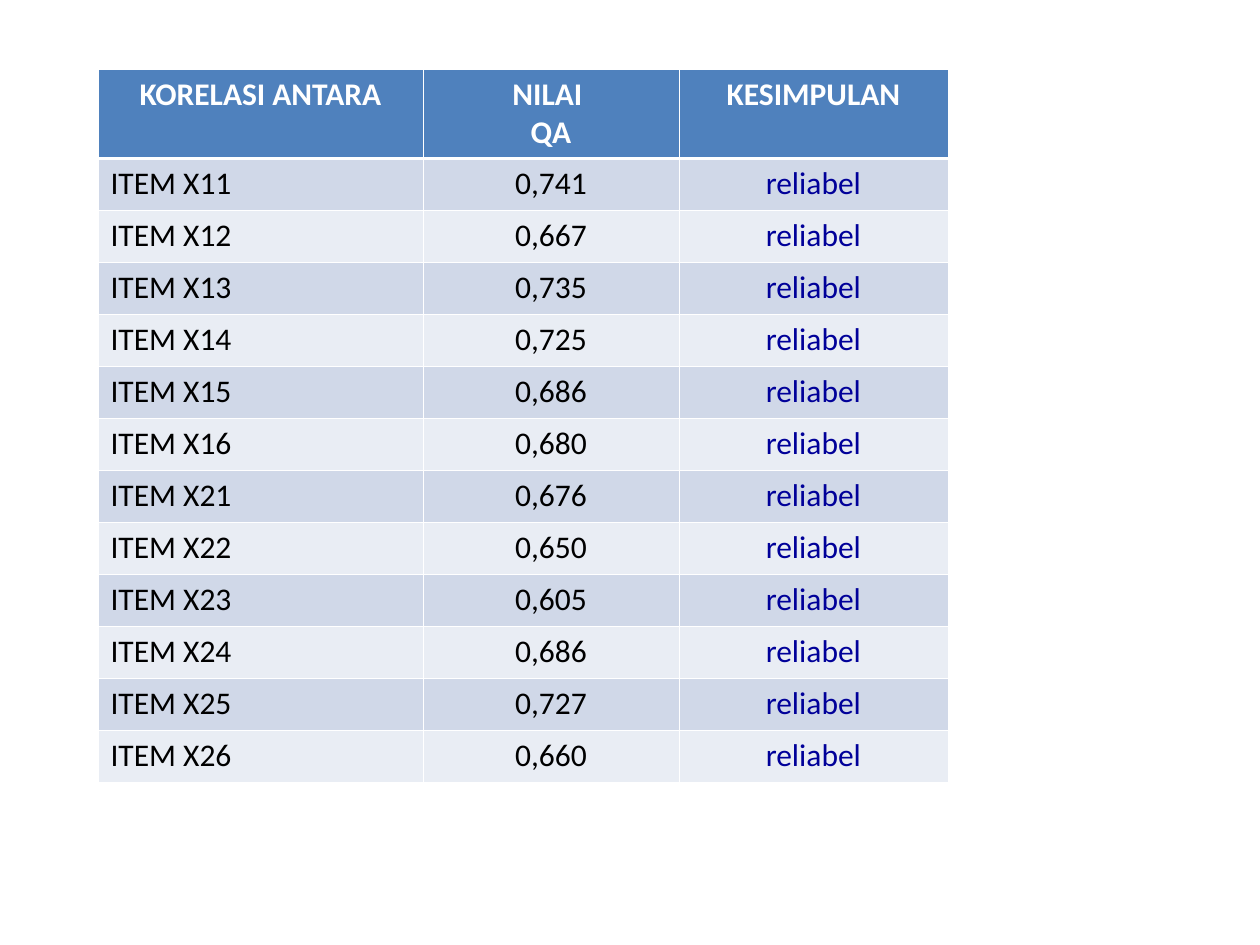
"""Build a slide with a table of reliability results per questionnaire item."""
from dataclasses import dataclass

from lxml import etree
from pptx import Presentation
from pptx.dml.color import RGBColor
from pptx.enum.text import PP_ALIGN
from pptx.oxml.ns import qn
from pptx.util import Emu, Pt

LEFT, CENTER = PP_ALIGN.LEFT, PP_ALIGN.CENTER

HEADINGS = ("KORELASI ANTARA", "NILAI \nQA", "KESIMPULAN")
ITEM_SCORES = (
    ("X11", "0,741"),
    ("X12", "0,667"),
    ("X13", "0,735"),
    ("X14", "0,725"),
    ("X15", "0,686"),
    ("X16", "0,680"),
    ("X21", "0,676"),
    ("X22", "0,650"),
    ("X23", "0,605"),
    ("X24", "0,686"),
    ("X25", "0,727"),
    ("X26", "0,660"),
)
CONCLUSION = "reliabel"

SLIDE_SIZE = (1260, 945)
TABLE_ORIGIN = (98, 69)
COLUMN_WIDTHS = (325, 256, 269)
HEADER_HEIGHT, ITEM_HEIGHT = 88, 52


@dataclass(frozen=True)
class Theme:
    font: str = "Calibri"
    size: int = 18
    header: str = "4F81BD"
    bands: tuple = ("D0D8E8", "E9EDF4")
    heading_text: str = "FFFFFF"
    item_texts: tuple = ("000000", "000000", "000099")
    border: str = "FFFFFF"
    thin: float = 0.45
    thick: float = 1.47


THEME = Theme()


def px(length):
    return Emu(round(length * 914400 / 126))


def set_borders(cell, top, bottom):
    properties = cell._tc.get_or_add_tcPr()
    widths = {"a:lnL": THEME.thin, "a:lnR": THEME.thin, "a:lnT": top, "a:lnB": bottom}
    for position, (side, width) in enumerate(widths.items()):
        line = etree.Element(qn(side), w=str(Pt(width)))
        fill = etree.SubElement(line, qn("a:solidFill"))
        etree.SubElement(fill, qn("a:srgbClr"), val=THEME.border)
        properties.insert(position, line)


def fill_cell(cell, text, background, color, alignment, bold):
    cell.fill.solid()
    cell.fill.fore_color.rgb = RGBColor.from_string(background)
    cell.text_frame.text = text
    for paragraph in cell.text_frame.paragraphs:
        paragraph.alignment = alignment
        for run in paragraph.runs:
            run.font.name = THEME.font
            run.font.size = Pt(THEME.size)
            run.font.bold = bold
            run.font.color.rgb = RGBColor.from_string(color)


def add_reliability_table(slide):
    rows = [HEADINGS] + [(f"ITEM {item}", score, CONCLUSION) for item, score in ITEM_SCORES]
    heights = [HEADER_HEIGHT] + [ITEM_HEIGHT] * len(ITEM_SCORES)
    frame = (*TABLE_ORIGIN, sum(COLUMN_WIDTHS), sum(heights))
    table = slide.shapes.add_table(len(rows), len(HEADINGS), *map(px, frame)).table
    for column, width in zip(table.columns, COLUMN_WIDTHS):
        column.width = px(width)
    for r, (texts, height) in enumerate(zip(rows, heights)):
        table.rows[r].height = px(height)
        is_header = r == 0
        background = THEME.header if is_header else THEME.bands[(r - 1) % 2]
        top = THEME.thick if r == 1 else THEME.thin
        bottom = THEME.thick if is_header else THEME.thin
        for c, text in enumerate(texts):
            cell = table.cell(r, c)
            color = THEME.heading_text if is_header else THEME.item_texts[c]
            alignment = CENTER if is_header or c > 0 else LEFT
            fill_cell(cell, text, background, color, alignment, is_header)
            set_borders(cell, top, bottom)


def main():
    presentation = Presentation()
    presentation.slide_width, presentation.slide_height = map(px, SLIDE_SIZE)
    slide = presentation.slides.add_slide(presentation.slide_layouts[6])
    add_reliability_table(slide)
    presentation.save("out.pptx")


if __name__ == "__main__":
    main()
